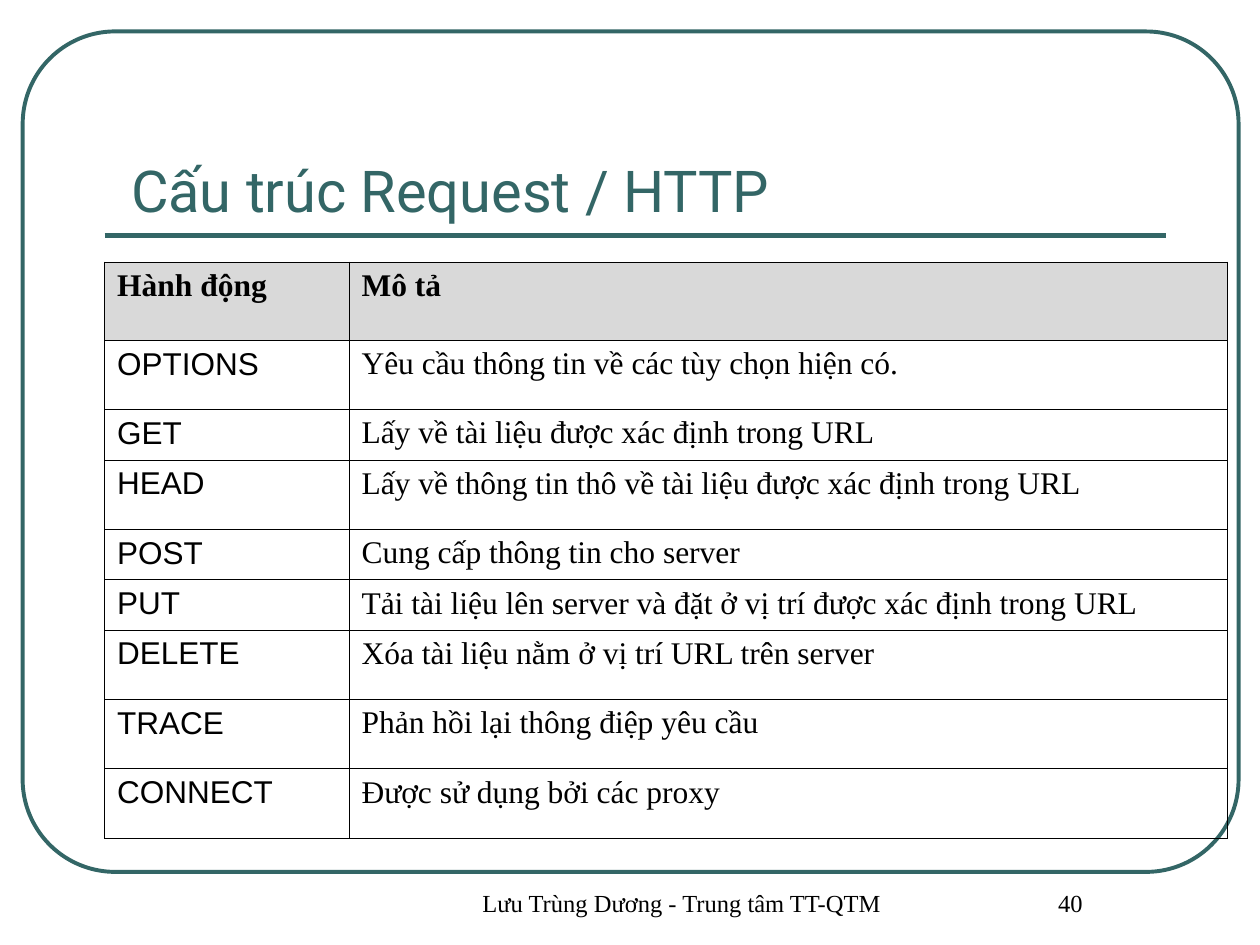
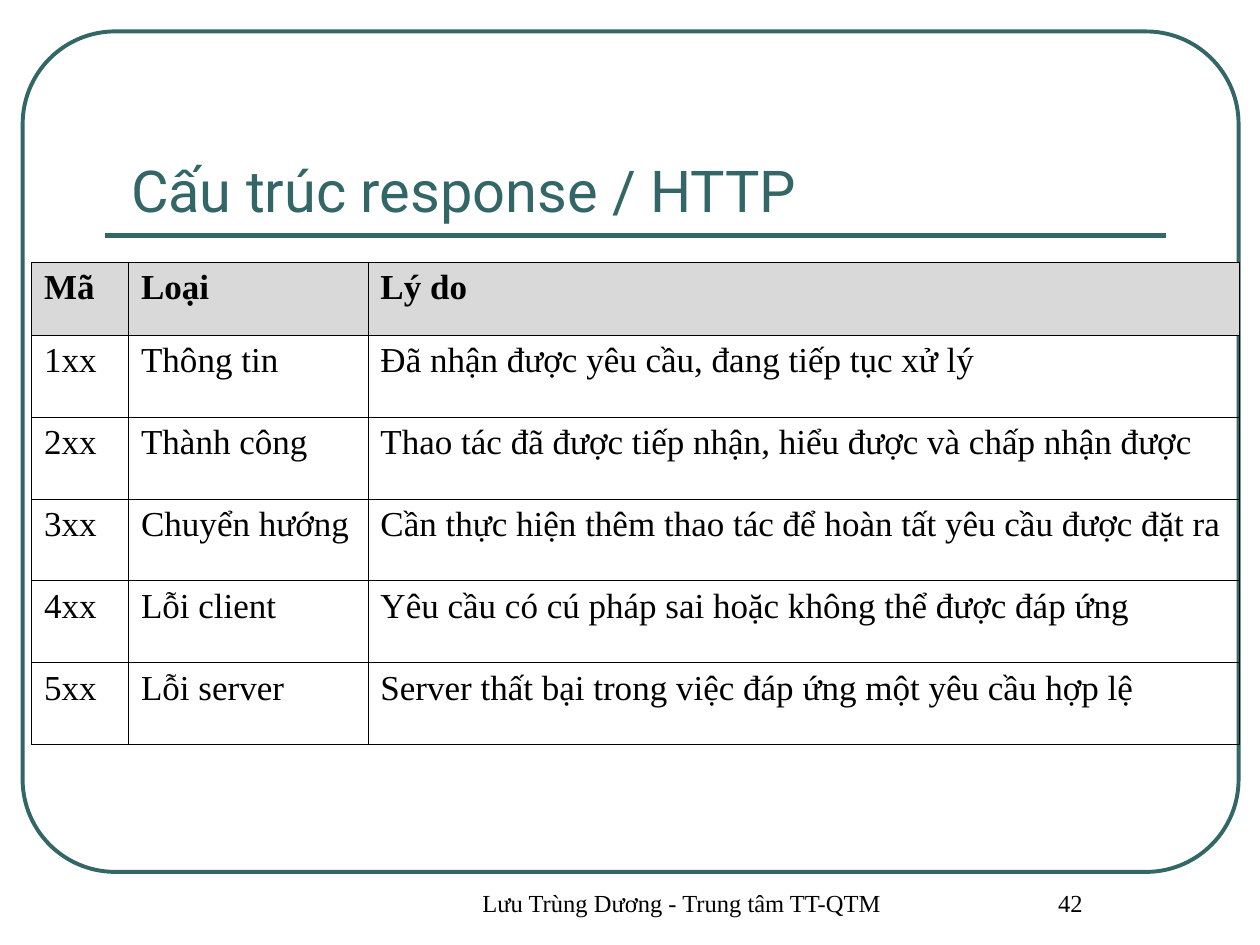
from dataclasses import dataclass

from lxml.etree import SubElement
from pptx import Presentation
from pptx.dml.color import RGBColor
from pptx.enum.shapes import MSO_CONNECTOR as Conn, MSO_SHAPE as Shape
from pptx.enum.text import MSO_ANCHOR as Anchor, PP_ALIGN as Align
from pptx.oxml.ns import qn
from pptx.util import Inches, Pt

TEAL, BLACK, GREY = "336666", "000000", "D9D9D9"
SERIF, SANS, HEAD = "Times New Roman", "Arial", "Roboto"
FOOTER = "Lưu Trùng Dương - Trung tâm TT-QTM"


@dataclass
class Style:
    """Look of one run of text."""
    font: str
    size: float
    color: str = BLACK
    bold: bool = False


@dataclass
class Grid:
    """A table: place, sizes, texts; the first row is the header."""
    left: float
    cols: list[float]
    heights: list[float]
    rows: list[tuple[str, ...]]
    size: int
    key_font: str
    align: Align


@dataclass
class Page:
    """One slide: title, table and number."""
    title: str
    grid: Grid
    number: int


def rgb(code: str) -> RGBColor:
    """Turn a hex string into a colour."""
    return RGBColor.from_string(code)


def write(para, text: str, style: Style) -> None:
    """Add one run to a paragraph."""
    run = para.add_run()
    run.text = text
    font = run.font
    font.name, font.size, font.bold = style.font, Pt(style.size), style.bold
    font.color.rgb = rgb(style.color)


def indent(para, left: float, first: float) -> None:
    """Set the left margin and first-line indent in inches."""
    props = para._p.get_or_add_pPr()
    props.set("marL", str(Inches(left)))
    props.set("indent", str(Inches(first)))


def add_text(slide, box: tuple[float, ...], text: str, style: Style):
    """Add a wrapped text box and return its frame."""
    frame = slide.shapes.add_textbox(*map(Inches, box)).text_frame
    frame.word_wrap = True
    write(frame.paragraphs[0], text, style)
    return frame


def add_frame(slide) -> None:
    """Draw the rounded border and the rule under the title."""
    box = slide.shapes.add_shape(
        Shape.ROUNDED_RECTANGLE, *map(Inches, (0.18, 0.25, 9.65, 6.67)))
    box.adjustments[0] = 0.11
    box.shadow.inherit = False
    box.fill.background()
    box.line.color.rgb = rgb(TEAL)
    box.line.width = Pt(2.24)
    rule = slide.shapes.add_connector(
        Conn.STRAIGHT, *map(Inches, (0.83, 1.87, 9.25, 1.87)))
    rule.line.color.rgb = rgb(TEAL)
    rule.line.width = Pt(3)
    SubElement(rule._element.spPr, qn("a:effectLst"))


def add_title(slide, text: str) -> None:
    """Add the title, resting on the rule."""
    frame = add_text(slide, (0.83, 0.58, 8.42, 1.25), text,
                     Style(HEAD, 33, TEAL))
    frame.vertical_anchor = Anchor.BOTTOM
    frame.margin_left = Inches(0.21)


def add_footer(slide, number: int) -> None:
    """Add the author line and the slide number."""
    for left, width, text in ((3.08, 4.42, FOOTER), (7.5, 1.75, str(number))):
        frame = add_text(slide, (left, 7, width, 0.5), text, Style(SERIF, 14))
        para = frame.paragraphs[0]
        para.alignment = Align.CENTER
        indent(para, 0.24, 0)


def add_edges(cell) -> None:
    """Give a cell thin black borders."""
    props = cell._tc.get_or_add_tcPr()
    for side in "LRTB":
        edge = SubElement(props, qn(f"a:ln{side}"), w=str(Pt(0.45)))
        fill = SubElement(edge, qn("a:solidFill"))
        SubElement(fill, qn("a:srgbClr"), val=BLACK)


def add_grid(slide, grid: Grid) -> None:
    """Draw a table with a grey header row."""
    table = slide.shapes.add_table(
        len(grid.rows), len(grid.cols), Inches(grid.left), Inches(2.08),
        Inches(sum(grid.cols)), Inches(sum(grid.heights))).table
    table.first_row = table.horz_banding = False
    for col, width in zip(table.columns, grid.cols):
        col.width = Inches(width)
    for r, (texts, height) in enumerate(zip(grid.rows, grid.heights)):
        table.rows[r].height = Inches(height)
        for c, text in enumerate(texts):
            cell = table.cell(r, c)
            add_edges(cell)
            if r == 0:
                cell.fill.solid()
                cell.fill.fore_color.rgb = rgb(GREY)
            else:
                cell.fill.background()
            para = cell.text_frame.paragraphs[0]
            para.alignment = grid.align
            indent(para, 0.38, -0.38)
            font = grid.key_font if r and c == 0 else SERIF
            write(para, text, Style(font, grid.size, bold=r == 0))


ACTIONS = Grid(
    0.83, [1.94, 6.97], [0.62, 0.55, 0.4, 0.55, 0.4, 0.4] + [0.55] * 3,
    [("Hành động", "Mô tả"),
     ("OPTIONS", "Yêu cầu thông tin về các tùy chọn hiện có."),
     ("GET", "Lấy về tài liệu được xác định trong URL"),
     ("HEAD", "Lấy về thông tin thô về tài liệu được xác định trong URL"),
     ("POST", "Cung cấp thông tin cho server"),
     ("PUT", "Tải tài liệu lên server và đặt ở vị trí được xác định trong URL"),
     ("DELETE", "Xóa tài liệu nằm ở vị trí URL trên server"),
     ("TRACE", "Phản hồi lại thông điệp yêu cầu"),
     ("CONNECT", "Được sử dụng bởi các proxy")],
    18, SANS, Align.JUSTIFY)

CODES = Grid(
    0.25, [0.77, 1.9, 6.92], [0.58] + [0.65] * 5,
    [("Mã", "Loại", "Lý do"),
     ("1xx", "Thông tin", "Đã nhận được yêu cầu, đang tiếp tục xử lý"),
     ("2xx", "Thành công",
      "Thao tác đã được tiếp nhận, hiểu được và chấp nhận được"),
     ("3xx", "Chuyển hướng",
      "Cần thực hiện thêm thao tác để hoàn tất yêu cầu được đặt ra"),
     ("4xx", "Lỗi client",
      "Yêu cầu có cú pháp sai hoặc không thể được đáp ứng"),
     ("5xx", "Lỗi server",
      "Server thất bại trong việc đáp ứng một yêu cầu hợp lệ")],
    20, SERIF, Align.LEFT)

PAGES = [Page("Cấu trúc Request / HTTP", ACTIONS, 40),
         Page("Cấu trúc response / HTTP", CODES, 42)]


def main() -> None:
    """Build and save the deck."""
    deck = Presentation()
    deck.slide_width, deck.slide_height = Inches(10), Inches(7.5)
    for page in PAGES:
        slide = deck.slides.add_slide(deck.slide_layouts[6])
        add_frame(slide)
        add_title(slide, page.title)
        add_grid(slide, page.grid)
        add_footer(slide, page.number)
    deck.save("out.pptx")


main()
